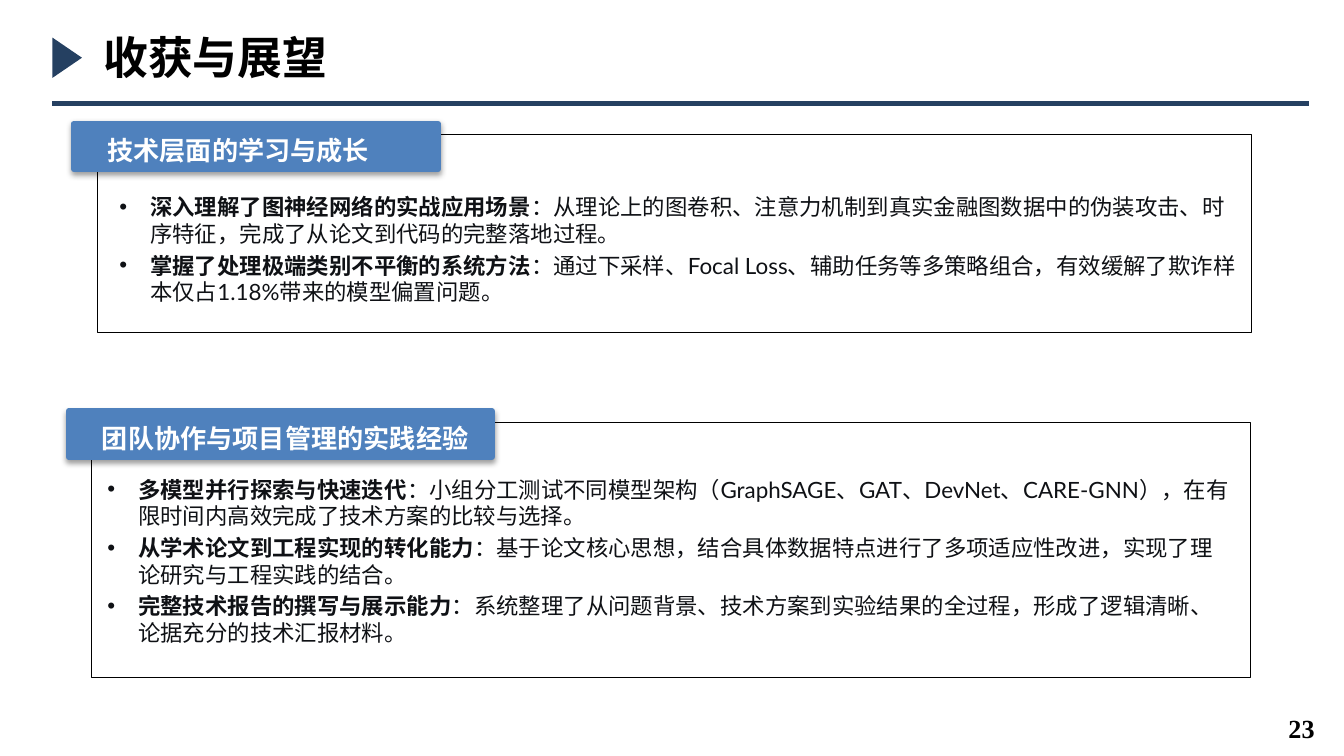
from dataclasses import dataclass

from lxml.etree import SubElement
from pptx import Presentation
from pptx.dml.color import RGBColor as RGB
from pptx.enum.lang import MSO_LANGUAGE_ID as LANG
from pptx.enum.shapes import MSO_CONNECTOR as CONN, MSO_SHAPE as SHAPE
from pptx.enum.text import MSO_ANCHOR as ANCHOR, PP_ALIGN as ALIGN
from pptx.oxml.ns import qn
from pptx.util import Inches, Pt


@dataclass(frozen=True)
class Theme:
    navy: str = "254061"
    blue: str = "4F81BD"
    white: str = "FFFFFF"
    black: str = "000000"
    ink: str = "0F1115"
    body_font: str = "Lato"
    title_font: str = "Noto Sans CJK SC"
    number_font: str = "Times New Roman"
    title_size: int = 24
    head_size: int = 14
    body_size: int = 12


@dataclass(frozen=True)
class Box:
    x: float
    y: float
    w: float
    h: float

    def inches(self) -> tuple:
        return tuple(Inches(v) for v in (self.x, self.y, self.w, self.h))


@dataclass(frozen=True)
class Section:
    heading: str
    frame: Box
    tab: Box
    head: Box
    body: Box
    points: tuple[tuple[str, str], ...]


T = Theme()

SECTIONS = (
    Section(
        "技术层面的学习与成长",
        Box(0.72, 1, 8.59, 1.47), Box(0.55, 0.92, 2.71, 0.34),
        Box(0.7, 0.95, 2.71, 0.34), Box(0.79, 1.39, 8.53, 0.95),
        (
            ("深入理解了图神经网络的实战应用场景",
             "：从理论上的图卷积、注意力机制到真实金融图数据中的伪装攻击、时序特征，完成了从论文到代码的完整落地过程。"),
            ("掌握了处理极端类别不平衡的系统方法",
             "：通过下采样、Focal Loss、辅助任务等多策略组合，有效缓解了欺诈样本仅占1.18%带来的模型偏置问题。"),
        ),
    ),
    Section(
        "团队协作与项目管理的实践经验",
        Box(0.68, 3.14, 8.62, 1.9), Box(0.51, 3.06, 3.15, 0.34),
        Box(0.66, 3.09, 3.02, 0.34), Box(0.7, 3.49, 8.58, 1.84),
        (
            ("多模型并行探索与快速迭代",
             "：小组分工测试不同模型架构（GraphSAGE、GAT、DevNet、CARE-GNN），在有限时间内高效完成了技术方案的比较与选择。"),
            ("从学术论文到工程实现的转化能力",
             "：基于论文核心思想，结合具体数据特点进行了多项适应性改进，实现了理论研究与工程实践的结合。"),
            ("完整技术报告的撰写与展示能力",
             "：系统整理了从问题背景、技术方案到实验结果的全过程，形成了逻辑清晰、论据充分的技术汇报材料。"),
        ),
    ),
)


def add_run(p, text: str, *, size: int, font: str = T.body_font,
            color: str = T.ink, bold: bool = False) -> None:
    r = p.add_run()
    r.text = text
    r.font.size, r.font.bold, r.font.name = Pt(size), bold, font
    r.font.color.rgb = RGB.from_string(color)
    r.font.language_id = LANG.SIMPLIFIED_CHINESE
    SubElement(r.font._element, qn("a:ea"), typeface=font)


def add_text_frame(shapes, box: Box, anchor=ANCHOR.TOP):
    tf = shapes.add_textbox(*box.inches()).text_frame
    tf.word_wrap = True
    tf.vertical_anchor = anchor
    return tf


def add_label(shapes, box: Box, text: str, *, anchor=ANCHOR.TOP,
              align=ALIGN.LEFT, **fmt) -> None:
    p = add_text_frame(shapes, box, anchor).paragraphs[0]
    p.alignment = align
    add_run(p, text, bold=True, **fmt)


def add_block(shapes, kind, box: Box, fill: str, line: str | None = None,
              width: float = 0):
    s = shapes.add_shape(kind, *box.inches())
    s.shadow.inherit = False
    s.fill.solid()
    s.fill.fore_color.rgb = RGB.from_string(fill)
    if line:
        s.line.color.rgb = RGB.from_string(line)
        s.line.width = Pt(width)
    else:
        s.line.fill.background()
    return s


def add_shadow(s) -> None:
    effects = s._element.spPr.find(qn("a:effectLst"))
    shadow = SubElement(effects, qn("a:outerShdw"), blurRad=str(Pt(3.1)),
                        dist=str(Pt(1.6)), dir="5400000", rotWithShape="0")
    color = SubElement(shadow, qn("a:srgbClr"), val=T.black)
    SubElement(color, qn("a:alpha"), val="38000")


def add_points(shapes, box: Box, points: tuple[tuple[str, str], ...]) -> None:
    tf = add_text_frame(shapes, box)
    for i, (lead, rest) in enumerate(points):
        p = tf.add_paragraph() if i else tf.paragraphs[0]
        if i:
            p.space_before = Pt(0.2 * T.body_size)
        pPr = p._p.get_or_add_pPr()
        indent = Inches(0.23)
        pPr.set("marL", str(indent))
        pPr.set("indent", str(-indent))
        SubElement(pPr, qn("a:buFont"), typeface="Arial")
        SubElement(pPr, qn("a:buChar"), char="•")
        add_run(p, lead, size=T.body_size, bold=True)
        add_run(p, rest, size=T.body_size)


def add_section(slide, sec: Section) -> None:
    shapes = slide.shapes.add_group_shape().shapes
    add_block(shapes, SHAPE.RECTANGLE, sec.frame, T.white, T.black, 0.25)
    add_shadow(add_block(shapes, SHAPE.RECTANGLE, sec.tab, T.blue, T.blue, 3))
    add_label(shapes, sec.head, sec.heading, size=T.head_size, color=T.white)
    add_points(shapes, sec.body, sec.points)


def add_header(slide) -> None:
    rule = slide.shapes.add_connector(
        CONN.STRAIGHT, Inches(0.39), Inches(0.77), Inches(9.74), Inches(0.77))
    rule.line.color.rgb = RGB.from_string(T.navy)
    rule.line.width = Pt(3)
    SubElement(rule._element.spPr, qn("a:effectLst"))
    marker = add_block(slide.shapes, SHAPE.ISOSCELES_TRIANGLE,
                       Box(0.35, 0.32, 0.3, 0.22), T.navy)
    marker.rotation = 90
    add_label(slide.shapes, Box(0.67, 0.14, 7.09, 0.56), "收获与展望",
              anchor=ANCHOR.MIDDLE, size=T.title_size, font=T.title_font,
              color=T.black)


def main() -> None:
    # Widescreen 16:9 page
    prs = Presentation()
    prs.slide_width = Inches(10)
    prs.slide_height = Inches(10 * 9 / 16)
    slide = prs.slides.add_slide(prs.slide_layouts[6])

    # Page number and header
    add_label(slide.shapes, Box(9.25, 5.25, 0.63, 0.34), "23",
              align=ALIGN.RIGHT, size=T.head_size, font=T.number_font,
              color=T.black)
    add_header(slide)

    # Framed sections
    for sec in SECTIONS:
        add_section(slide, sec)

    prs.save("out.pptx")


if __name__ == "__main__":
    main()
